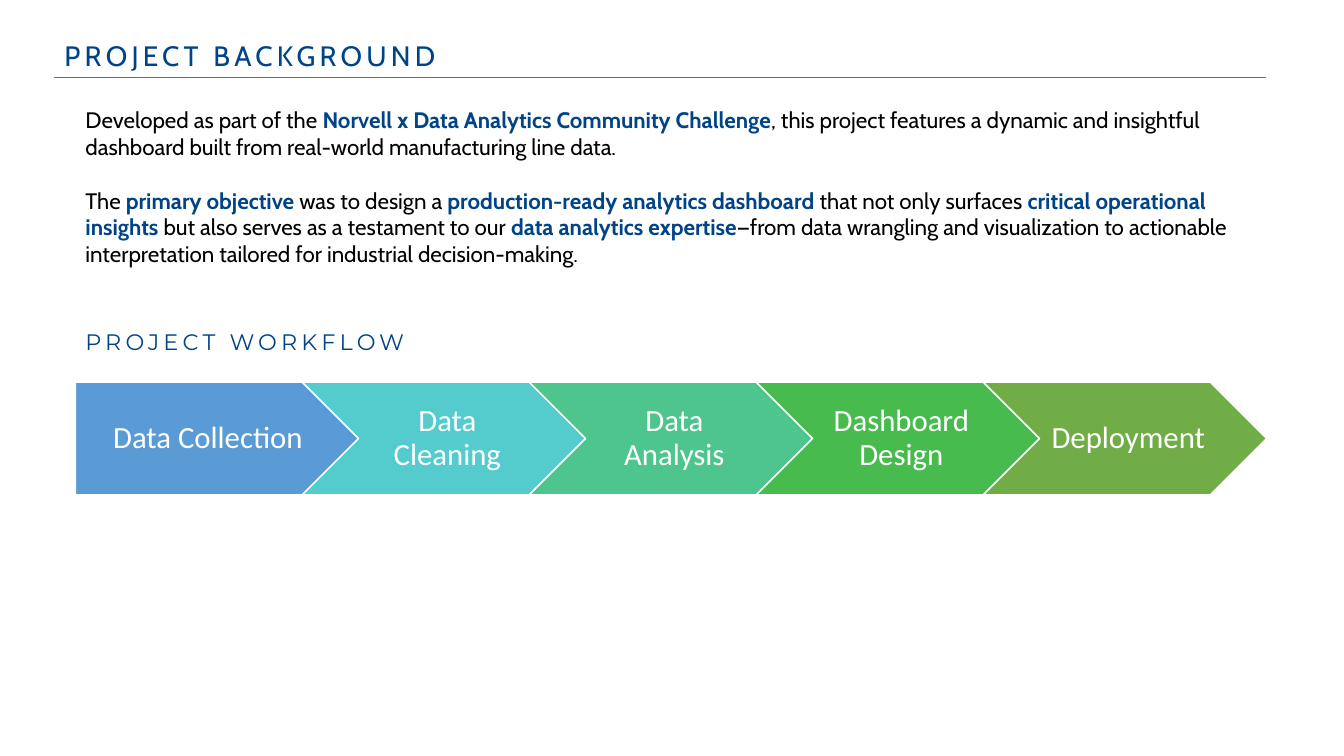
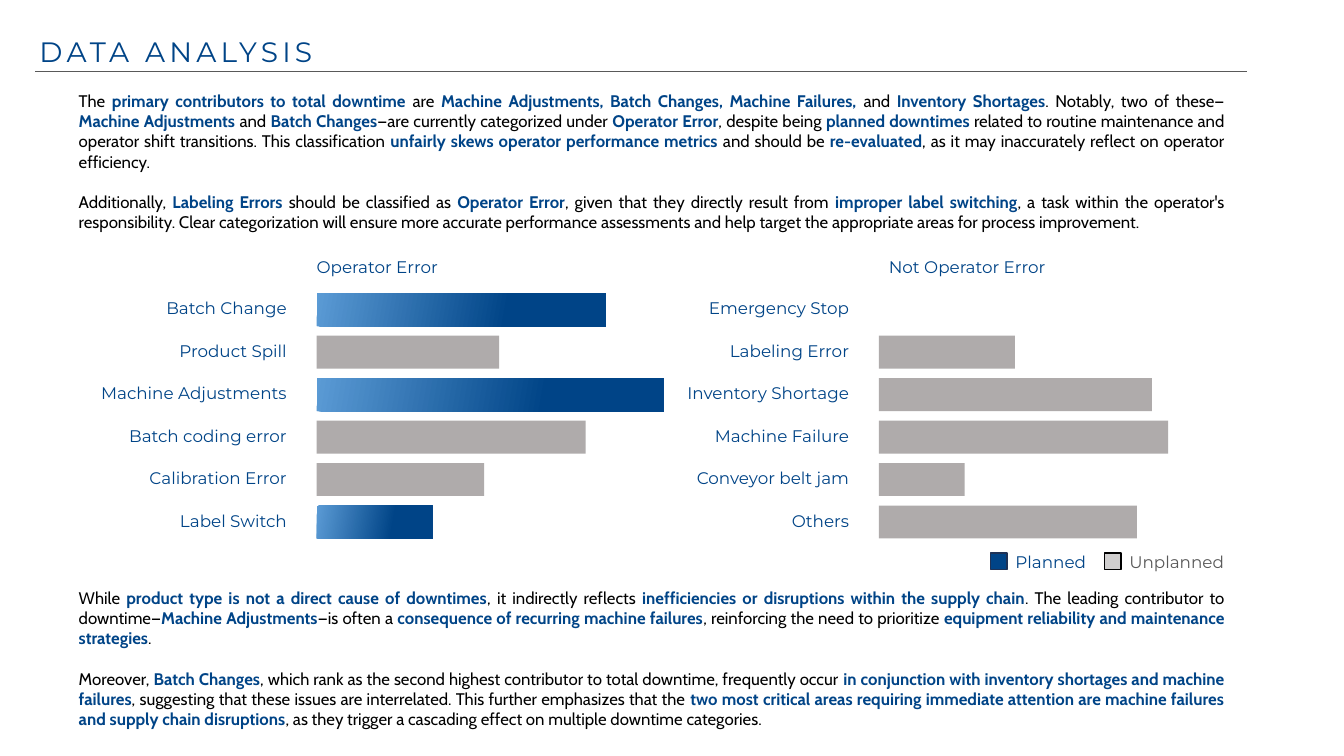
import pptx
import pptx.dml.color
import pptx.enum.shapes
import pptx.enum.text
import pptx.oxml.ns
import pptx.util
from dataclasses import dataclass
from lxml import etree

Cm, Pt = pptx.util.Cm, pptx.util.Pt
SHAPE = pptx.enum.shapes.MSO_SHAPE
ALIGN = pptx.enum.text.PP_ALIGN
ANCHOR = pptx.enum.text.MSO_ANCHOR


@dataclass(frozen=True)
class Theme:
    navy: str = "004487"
    black: str = "000000"
    white: str = "FFFFFF"
    grey: str = "595959"
    rule_blue: str = "4472C4"
    bar_light: str = "5B9BD5"
    bar_grey: str = "AFABAB"
    swatch_grey: str = "D0CECE"
    swatch_edge: str = "1E3256"
    body_font: str = "Cabin"
    label_font: str = "Montserrat"
    step_font: str = "Calibri"
    title_size: int = 20
    lead_size: int = 16
    step_size: int = 22
    small_size: int = 12
    tracking: int = 300


THEME = Theme()

# Text between asterisks is emphasised.
BACKGROUND = [
    "Developed as part of the *Norvell x Data Analytics Community Challenge*, this project "
    "features a dynamic and insightful dashboard built from real-world manufacturing line data.",
    "The *primary objective *was to design a *production-ready analytics dashboard *that not "
    "only surfaces *critical operational insights *but also serves as a testament to our "
    "*data analytics expertise*—from data wrangling and visualization to actionable "
    "interpretation tailored for industrial decision-making.",
]
STEPS = [
    ("Data Collection", "5B9BD5"),
    ("Data Cleaning", "54CCCD"),
    ("Data Analysis", "4DC58D"),
    ("Dashboard Design", "48BB4F"),
    ("Deployment", "70AD47"),
]
FINDINGS = [
    "The *primary contributors to total downtime *are *Machine Adjustments, Batch Changes, "
    "Machine Failures, *and *Inventory Shortages*. Notably, two of these—*Machine Adjustments "
    "*and *Batch Changes*—are currently categorized under *Operator Error*, despite being "
    "*planned downtimes *related to routine maintenance and operator shift transitions. This "
    "classification *unfairly skews operator performance metrics *and should be "
    "*re-evaluated*, as it may inaccurately reflect on operator efficiency.",
    "Additionally, *Labeling Errors *should be classified as *Operator Error*, given that they "
    "directly result from *improper label switching*, a task within the operator's "
    "responsibility. Clear categorization will ensure more accurate performance assessments "
    "and help target the appropriate areas for process improvement.",
]
CONCLUSIONS = [
    "While *product type is not a direct cause of downtimes*, it indirectly reflects "
    "*inefficiencies or disruptions within the supply chain*. The leading contributor to "
    "downtime—*Machine Adjustments*—is often a *consequence of recurring machine failures*, "
    "reinforcing the need to prioritize *equipment reliability and maintenance strategies*.",
    "Moreover, *Batch Changes*, which rank as the second highest contributor to total "
    "downtime, frequently occur *in conjunction with inventory shortages and machine "
    "failures*, suggesting that these issues are interrelated. This further emphasizes that "
    "the *two most critical areas requiring immediate attention are machine failures and "
    "supply chain disruptions*, as they trigger a cascading effect on multiple downtime "
    "categories.",
]
# Each group: heading, heading left, axis left, rows of (label, bar length, planned).
BAR_GROUPS = [
    ("Operator Error", 7.98, 7.98, [
        ("Batch Change", 7.29, True),
        ("Product Spill", 4.6, False),
        ("Machine Adjustments", 8.74, True),
        ("Batch coding error", 6.78, False),
        ("Calibration Error", 4.22, False),
        ("Label Switch", 2.92, True),
    ]),
    ("Not Operator Error", 22.4, 22.15, [
        ("Emergency Stop", 0, False),
        ("Labeling Error", 3.43, False),
        ("Inventory Shortage", 6.88, False),
        ("Machine Failure", 7.29, False),
        ("Conveyor belt jam", 2.16, False),
        ("Others", 6.5, False),
    ]),
]
# Each entry: label, left, swatch fill, swatch edge, text colour.
LEGEND = [
    ("Planned", 24.97, THEME.navy, THEME.swatch_edge, THEME.navy),
    ("Unplanned", 27.84, THEME.swatch_grey, THEME.black, THEME.grey),
]


def rgb(value):
    return pptx.dml.color.RGBColor.from_string(value)


def style(span, font, size, color, bold=False, tracking=0):
    span.font.name = font
    span.font.size = Pt(size)
    span.font.color.rgb = rgb(color)
    span.font.bold = bold
    if tracking:
        span.font._element.set("spc", str(tracking))


def place(box, left, top, width, height):
    box.left, box.top, box.width, box.height = Cm(left), Cm(top), Cm(width), Cm(height)


def add_label(page, text, left, top, width, height=0.76, align=ALIGN.LEFT,
              size=THEME.small_size, color=THEME.navy, tracking=0):
    """Add one line of text whose letters start and end at the box edges."""
    box = page.shapes.add_textbox(Cm(left), Cm(top), Cm(width), Cm(height))
    frame = box.text_frame
    frame.word_wrap = True
    frame.margin_left = frame.margin_right = 0
    frame.text = text
    para = frame.paragraphs[0]
    para.alignment = align
    style(para.runs[0], THEME.label_font, size, color, tracking=tracking)


def add_block(page, kind, left, top, width, height, fill=None, edge=None):
    block = page.shapes.add_shape(kind, Cm(left), Cm(top), Cm(width), Cm(height))
    block.shadow.inherit = False
    if fill:
        block.fill.solid()
        block.fill.fore_color.rgb = rgb(fill)
    if edge:
        block.line.color.rgb = rgb(edge)
        block.line.width = Pt(1)
    else:
        block.line.fill.background()
    return block


def set_title(page, text, font, left, top, rule_left, rule_top, rule_color):
    """Fill the title placeholder and draw the thin rule below it."""
    title = page.shapes.title
    place(title, left, top, 20, 1.12)
    frame = title.text_frame
    frame.text = text
    frame.auto_size = pptx.enum.text.MSO_AUTO_SIZE.NONE
    frame.vertical_anchor = ANCHOR.TOP
    para = frame.paragraphs[0]
    para.alignment = ALIGN.LEFT
    style(para.runs[0], font, THEME.title_size, THEME.navy, tracking=THEME.tracking)

    rule = page.shapes.add_connector(
        pptx.enum.shapes.MSO_CONNECTOR.STRAIGHT,
        Cm(rule_left), Cm(rule_top), Cm(rule_left + 30.53), Cm(rule_top))
    rule.line.color.rgb = rgb(rule_color)
    rule.line.width = Pt(0.5)
    etree.SubElement(rule._element.spPr, pptx.oxml.ns.qn("a:effectLst"))


def set_body(box, paragraphs, size, gap, align, area):
    """Fill a body placeholder with unbulleted paragraphs, emphasising marked text."""
    place(box, *area)
    frame = box.text_frame
    frame.auto_size = pptx.enum.text.MSO_AUTO_SIZE.NONE
    for index, text in enumerate(paragraphs):
        para = frame.add_paragraph() if index else frame.paragraphs[0]
        para.alignment = align
        para.space_before = Pt(gap if index else 0)
        properties = para._p.get_or_add_pPr()
        properties.set("marL", "0")
        properties.set("indent", "0")
        etree.SubElement(properties, pptx.oxml.ns.qn("a:buNone"))
        for part, words in enumerate(text.split("*")):
            if words:
                strong = part % 2 == 1
                span = para.add_run()
                span.text = words
                style(span, THEME.body_font, size,
                      THEME.navy if strong else THEME.black, strong)


def add_workflow(page):
    left, top, width, height, pitch = 1.9, 9.63, 7.14, 2.84, 5.72
    for index, (text, color) in enumerate(STEPS):
        kind = SHAPE.CHEVRON if index else SHAPE.PENTAGON
        step = add_block(page, kind, left + index * pitch, top, width, height,
                         color, THEME.white)
        frame = step.text_frame
        frame.word_wrap = True
        frame.vertical_anchor = ANCHOR.MIDDLE
        frame.margin_left = Cm(0.25 if index else 0.33)
        frame.margin_right = Cm(0.08)
        frame.text = text
        para = frame.paragraphs[0]
        para.alignment = ALIGN.CENTER
        para.line_spacing = 0.9
        style(para.runs[0], THEME.step_font, THEME.step_size, THEME.white)


def add_bars(page, heading, heading_left, axis, rows):
    first_top, pitch, bar_height = 7.39, 1.07, 0.83
    label_width, label_gap = 4.9, 0.75
    add_label(page, heading, heading_left, 6.35, 5)
    for index, (text, length, planned) in enumerate(rows):
        top = first_top + index * pitch
        add_label(page, text, axis - label_gap - label_width, top, label_width,
                  align=ALIGN.RIGHT)
        if not length:
            continue
        bar = add_block(page, SHAPE.RECTANGLE, axis, top, length, bar_height,
                        None if planned else THEME.bar_grey)
        if planned:
            bar.fill.gradient()
            bar.fill.gradient_angle = 350
            start, end = bar.fill.gradient_stops
            start.color.rgb, start.position = rgb(THEME.bar_light), 0
            end.color.rgb, end.position = rgb(THEME.navy), 0.66


def add_legend(page):
    for text, left, fill, edge, color in LEGEND:
        add_block(page, SHAPE.RECTANGLE, left, 13.94, 0.41, 0.41, fill, edge)
        add_label(page, text, left + 0.62, 13.77, 3, color=color)


def build_background(deck):
    page = deck.slides.add_slide(deck.slide_layouts.get_by_name("Title and Content"))
    set_title(page, "PROJECT BACKGROUND", THEME.body_font, 1.37, 0.84,
              1.37, 1.96, THEME.rule_blue)
    set_body(page.placeholders[1], BACKGROUND, THEME.lead_size, 19.4, ALIGN.LEFT,
             (1.9, 2.54, 30, 5.05))
    add_label(page, "PROJECT WORKFLOW", 2.15, 8.15, 14.2, 0.94,
              size=THEME.lead_size, tracking=THEME.tracking)
    add_workflow(page)


def build_analysis(deck):
    page = deck.slides.add_slide(deck.slide_layouts.get_by_name("Two Content"))
    set_title(page, "DATA ANALYSIS", THEME.label_font, 0.74, 0.74,
              0.89, 1.8, THEME.grey)
    blocks = [(1, FINDINGS, 2.16, 4.37), (2, CONCLUSIONS, 14.68, 3.84)]
    for number, paragraphs, top, height in blocks:
        set_body(page.placeholders[number], paragraphs, THEME.small_size, 14.5,
                 ALIGN.JUSTIFY, (1.73, top, 29.39, height))
    for group in BAR_GROUPS:
        add_bars(page, *group)
    add_legend(page)


def main():
    deck = pptx.Presentation()
    deck.slide_width, deck.slide_height = Cm(33.87), Cm(19.05)
    build_background(deck)
    build_analysis(deck)
    deck.save("out.pptx")


if __name__ == "__main__":
    main()
